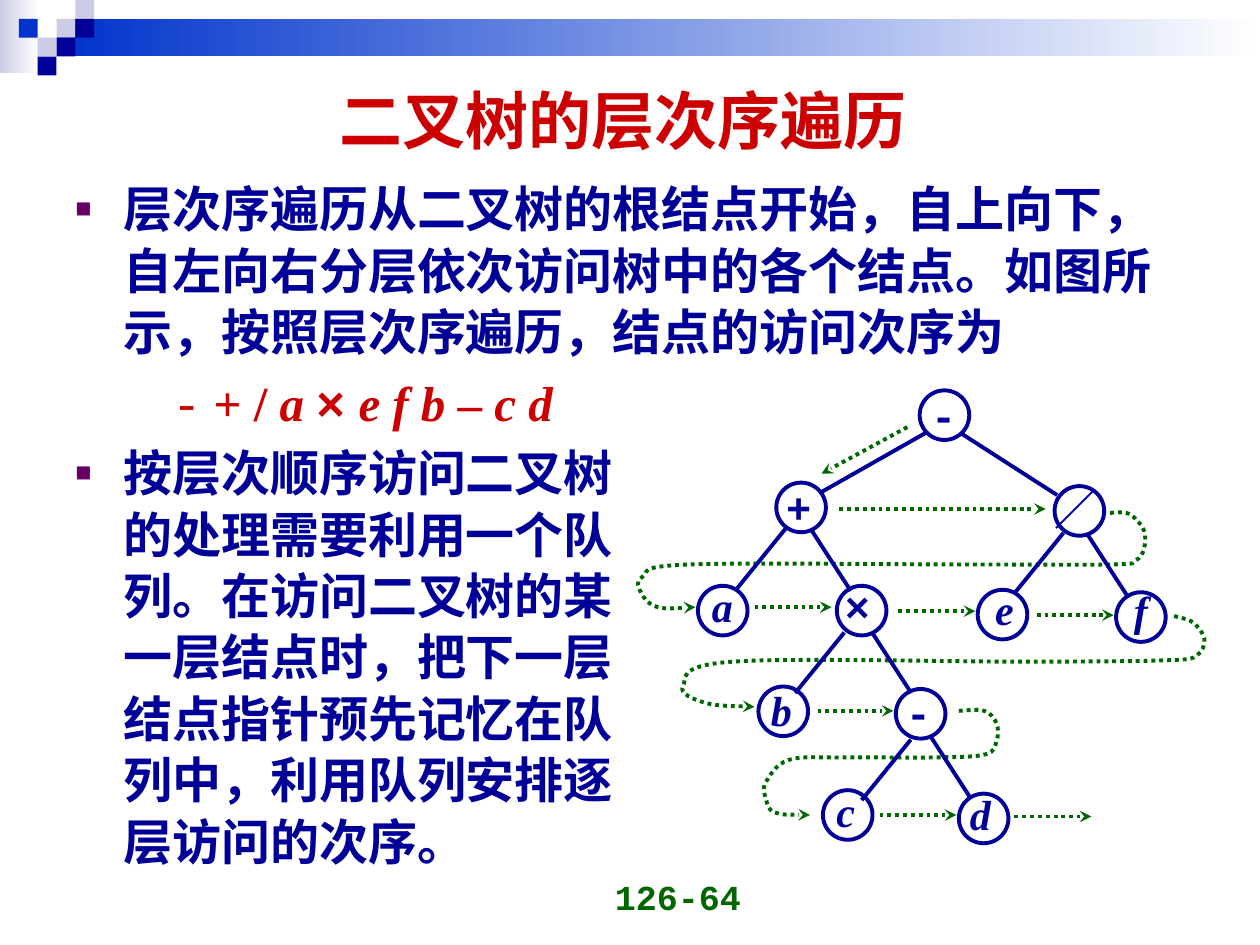
import pptx
import pptx.util
from pptx.dml.color import RGBColor
from pptx.enum.dml import MSO_LINE
from pptx.enum.shapes import MSO_CONNECTOR, MSO_SHAPE
from pptx.enum.text import MSO_ANCHOR, PP_ALIGN
from pptx.oxml import parse_xml
from pptx.oxml.ns import nsdecls, qn

Cm, Pt = pptx.util.Cm, pptx.util.Pt

THEME = {
    "navy": "000099", "blue": "0033CC", "lilac": "CCCCE6", "white": "FFFFFF",
    "red": "CC0000", "green": "006600", "purple": "660066",
    "title": 36, "body": 28, "node": 24, "page": 20, "stroke": 2.25,
    "sans": "Arial", "serif": "Times New Roman",
    "mono": "Courier New", "cjk": "Noto Sans CJK SC",
}

# ---- Content (lengths in cm) ----
TITLE = "二叉树的层次序遍历"
PAGE = "126-64"
INTRO = ("层次序遍历从二叉树的根结点开始，自上向下，自左向右分层依次访问树中的各个结点。"
         "如图所示，按照层次序遍历，结点的访问次序为")
SEQUENCE = [  # text, font, bold, italic
    ("-", "mono", False, False), (" + / ", "serif", True, False),
    ("a ", "serif", True, True), ("× ", "sans", True, False),
    ("e f b", "serif", True, True), (" – ", "serif", True, False),
    ("c d", "serif", True, True),
]
QUEUE_LINES = ["按层次顺序访问二叉树", "的处理需要利用一个队", "列。在访问二叉树的某",
               "一层结点时，把下一层", "结点指针预先记忆在队", "列中，利用队列安排逐",
               "层访问的次序。"]

GRADIENT_BANDS = [((0, 0, 0.79, 1.47), "lilac"), ((1.14, 0.38, 24.26, 0.76), "blue")]
SQUARE = 0.38
SQUARES = [(3, 1, "lilac"), (4, 0, "lilac"), (4, 1, "navy"), (2, 2, "lilac"),
           (1, 1, "blue"), (3, 2, "navy"), (2, 3, "navy")]  # column, row, colour

NODE_SIZE = 1.0
LABEL_SIZE = (1.8, 1.65)
NODES = [  # label, font, circle left and top, label offset from the circle
    ("-", "mono", 18.54, 7.87, -0.02, -0.15),
    ("+", "mono", 15.65, 9.73, -0.05, -0.15),
    ("／", "cjk", 21.26, 9.8, -0.25, -0.17),
    ("a", "serif", 14.07, 11.81, 0.03, -0.23),
    ("×", "sans", 16.87, 11.81, -0.08, -0.23),
    ("e", "serif", 19.71, 11.89, 0.1, -0.26),
    ("f", "serif", 22.5, 11.94, 0.11, -0.28),
    ("b", "serif", 15.29, 13.84, 0, -0.17),
    ("-", "mono", 18.06, 13.89, -0.05, -0.17),
    ("c", "serif", 16.59, 15.93, 0.02, -0.21),
    ("d", "serif", 19.33, 16.0, -0.03, -0.23),
]
ROOT_EDGES = [(18.69, 8.71, 16.54, 9.93), (19.38, 8.74, 21.31, 9.98)]
CHILD_EDGES = {  # run and drop of the edge: starting points
    (-0.99, 1.22): [(15.85, 10.64), (21.44, 10.74), (17.02, 12.75), (18.36, 14.91)],
    (0.79, 1.22): [(16.36, 10.69), (17.58, 12.75), (18.75, 14.83), (21.92, 10.77)],
}
VISIT_STEPS = [(16.92, 10.26, 21.08), (15.21, 12.24, 16.76), (18.11, 12.32, 19.66),
               (20.9, 12.4, 22.45), (16.48, 14.33, 18.01), (17.73, 16.43, 19.28),
               (20.45, 16.46, 22.0)]  # start x, y, end x
FIRST_STEP = (18.29, 8.61, 16.56, 9.55)
LEVEL_RETURNS = [
    [(22.38, 10.34), (22.76, 10.36), (23.06, 10.69), (23.06, 11.07), (22.89, 11.3),
     (22.43, 11.38), (19.46, 11.38), (13.89, 11.38), (12.95, 11.63), (12.93, 11.96),
     (13.26, 12.24), (14.02, 12.24)],
    [(23.67, 12.42), (24.05, 12.55), (24.28, 12.88), (24.13, 13.21), (23.55, 13.31),
     (20.78, 13.34), (14.76, 13.34), (13.77, 13.84), (14.22, 14.17), (15.21, 14.25)],
    [(19.33, 14.33), (19.84, 14.33), (20.09, 14.58), (20.09, 14.94), (19.86, 15.21),
     (18.8, 15.27), (16.99, 15.27), (15.9, 15.32), (15.44, 15.77), (15.44, 16.1),
     (15.62, 16.38), (16.33, 16.43)],
]


# ---- Helpers ----
def rgb(name):
    return RGBColor.from_string(THEME[name])


def cms(*values):
    return [Cm(value) for value in values]


def element(tag, attributes=""):
    return parse_xml(f"<a:{tag} {nsdecls('a')} {attributes}/>")


def add_run(paragraph, text, face, size, color, bold=True, italic=False):
    run = paragraph.add_run()
    run.text = text
    formats = {"name": THEME[face], "size": Pt(THEME[size]), "bold": bold, "italic": italic}
    for key, value in formats.items():
        setattr(run.font, key, value)
    run.font.color.rgb = rgb(color)
    run._r.get_or_add_rPr().append(element("ea", f'typeface="{THEME["cjk"]}"'))


def add_text_box(slide, *box):
    frame = slide.shapes.add_textbox(*cms(*box)).text_frame
    frame.word_wrap = True
    return frame


def set_stroke(shape, color, arrow=False):
    shape.line.color.rgb = rgb(color)
    shape.line.width = Pt(THEME["stroke"])
    if arrow:
        shape.line.dash_style = MSO_LINE.ROUND_DOT
        shape._element.find(".//" + qn("a:ln")).append(element("tailEnd", 'type="stealth"'))


def add_line(slide, ends, color, arrow=False):
    line = slide.shapes.add_connector(MSO_CONNECTOR.STRAIGHT, *cms(*ends))
    set_stroke(line, color, arrow)
    line._element.spPr.append(element("effectLst"))


def add_block(slide, kind, *box):
    block = slide.shapes.add_shape(kind, *cms(*box))
    block.shadow.inherit = False
    return block


def add_curve(slide, knots):
    """Draw a smooth dotted arrow through the knots."""
    (start, *rest) = [cms(*knot) for knot in knots]
    builder = slide.shapes.build_freeform(*start)
    builder.add_line_segments(rest, close=False)
    curve = builder.convert_to_shape()
    curve.shadow.inherit = False
    curve.fill.background()
    set_stroke(curve, "green", arrow=True)
    outline = curve._element.find(".//" + qn("a:path"))
    points = [(int(pt.get("x")), int(pt.get("y"))) for pt in outline.iter(qn("a:pt"))]
    padded = [points[0], *points, points[-1]]
    for i, segment in enumerate(outline.findall(qn("a:lnTo"))):
        before, here, there, after = padded[i:i + 4]
        bezier = element("cubicBezTo")
        leave = [h + (t - b) // 6 for b, h, t in zip(before, here, there)]
        arrive = [t - (a - h) // 6 for h, t, a in zip(here, there, after)]
        for x, y in (leave, arrive, there):
            bezier.append(element("pt", f'x="{x}" y="{y}"'))
        outline.replace(segment, bezier)


def format_body(paragraph, bullet, space_before):
    properties = paragraph._p.get_or_add_pPr()
    if bullet:
        properties.set("marL", str(Cm(0.97)))
        properties.set("indent", str(-Cm(0.97)))
        color = element("buClr")
        color.append(element("srgbClr", f'val="{THEME["purple"]}"'))
        properties.extend([color, element("buSzPct", 'val="55000"'),
                           element("buFont", f'typeface="{THEME["sans"]}"'),
                           element("buChar", 'char="■"')])
    else:
        properties.set("marL", str(Cm(1.95)))
    paragraph.line_spacing = Pt(35.1)
    paragraph.space_before = Pt(space_before)


# ---- Slide parts ----
def add_header(slide):
    for box, color in GRADIENT_BANDS:
        band = add_block(slide, MSO_SHAPE.RECTANGLE, *box)
        band.line.fill.background()
        band.fill.gradient()
        band.fill.gradient_angle = 0
        for stop, name in zip(band.fill.gradient_stops, (color, "white")):
            stop.color.rgb = rgb(name)
    for column, row, color in SQUARES:
        square = add_block(slide, MSO_SHAPE.RECTANGLE, column * SQUARE, row * SQUARE,
                           SQUARE, SQUARE)
        square.line.fill.background()
        square.fill.solid()
        square.fill.fore_color.rgb = rgb(color)


def add_title_and_page(slide):
    title = slide.shapes.title
    for key, value in zip(("left", "top", "width", "height"), cms(1.12, 1.27, 22.86, 2.26)):
        setattr(title, key, value)
    page = add_text_box(slide, 9.27, 17.35, 5.92, 1.27)
    for frame, text, face, size, color, anchor, align in (
            (title.text_frame, TITLE, "sans", "title", "red", MSO_ANCHOR.MIDDLE, PP_ALIGN.CENTER),
            (page, PAGE, "mono", "page", "green", MSO_ANCHOR.BOTTOM, PP_ALIGN.RIGHT)):
        frame.vertical_anchor = anchor
        frame.paragraphs[0].alignment = align
        add_run(frame.paragraphs[0], text, face, size, color)


def add_body(slide):
    frame = add_text_box(slide, 1.27, 3.43, 22.86, 14.99)
    intro, sequence, queue = frame.paragraphs[0], frame.add_paragraph(), frame.add_paragraph()
    format_body(intro, True, 0)
    format_body(sequence, False, 5.2)
    format_body(queue, True, 5.2)
    add_run(intro, INTRO, "serif", "body", "navy")
    for text, face, bold, italic in SEQUENCE:
        add_run(sequence, text, face, "body", "red", bold, italic)
    for i, text in enumerate(QUEUE_LINES):
        if i:
            queue.add_line_break()
        add_run(queue, text, "sans", "body", "navy")


def add_tree(slide):
    for label, face, left, top, dx, dy in NODES:
        frame = add_text_box(slide, left + dx, top + dy, *LABEL_SIZE)
        add_run(frame.paragraphs[0], label, face, "node", "navy", italic=label.isalpha())
        circle = add_block(slide, MSO_SHAPE.OVAL, left, top, NODE_SIZE, NODE_SIZE)
        circle.fill.background()
        set_stroke(circle, "navy")
    child_edges = [(x, y, x + run, y + drop)
                   for (run, drop), starts in CHILD_EDGES.items() for x, y in starts]
    for edge in ROOT_EDGES + child_edges:
        add_line(slide, edge, "navy")


def add_visit_order(slide):
    for step in [FIRST_STEP] + [(x, y, end, y) for x, y, end in VISIT_STEPS]:
        add_line(slide, step, "green", arrow=True)
    for knots in LEVEL_RETURNS:
        add_curve(slide, knots)


def main():
    deck = pptx.Presentation()
    deck.slide_width, deck.slide_height = cms(25.4, 19.05)
    slide = deck.slides.add_slide(deck.slide_layouts[5])
    for add_part in (add_header, add_title_and_page, add_body, add_visit_order, add_tree):
        add_part(slide)
    deck.save("out.pptx")


if __name__ == "__main__":
    main()
